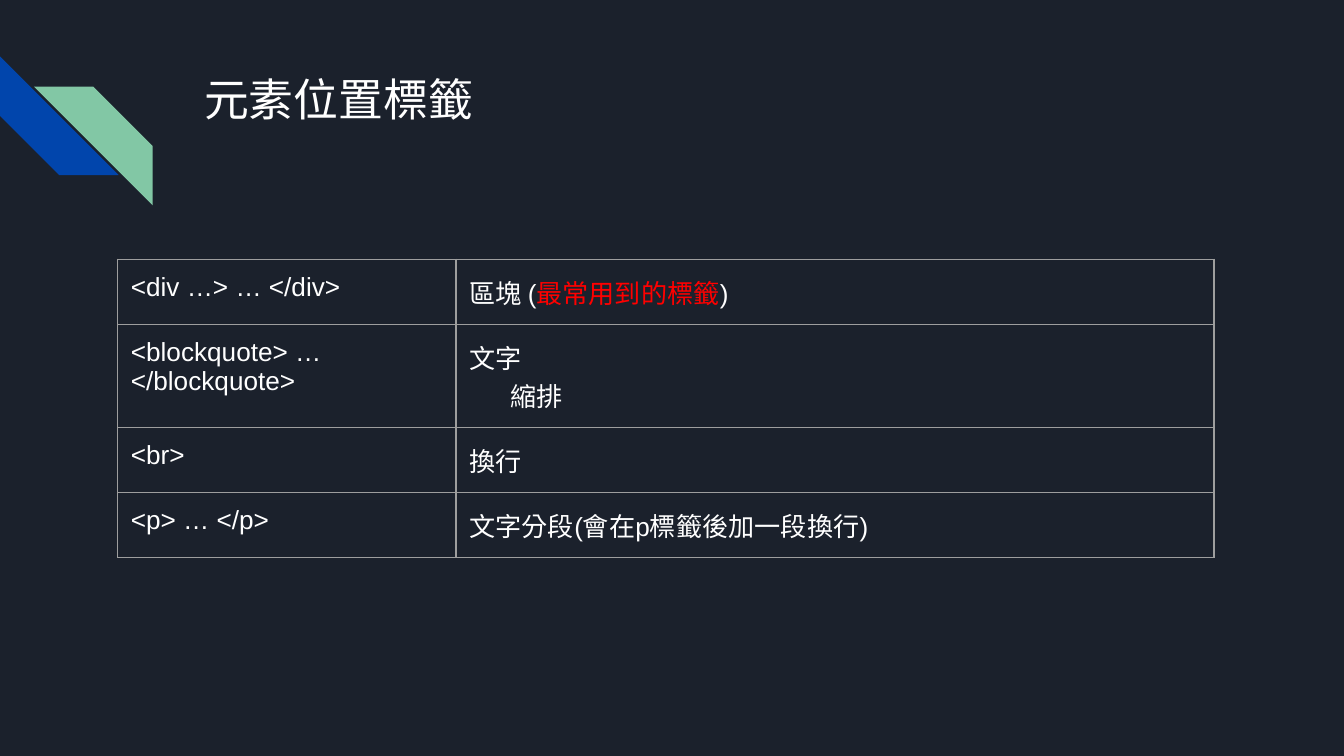
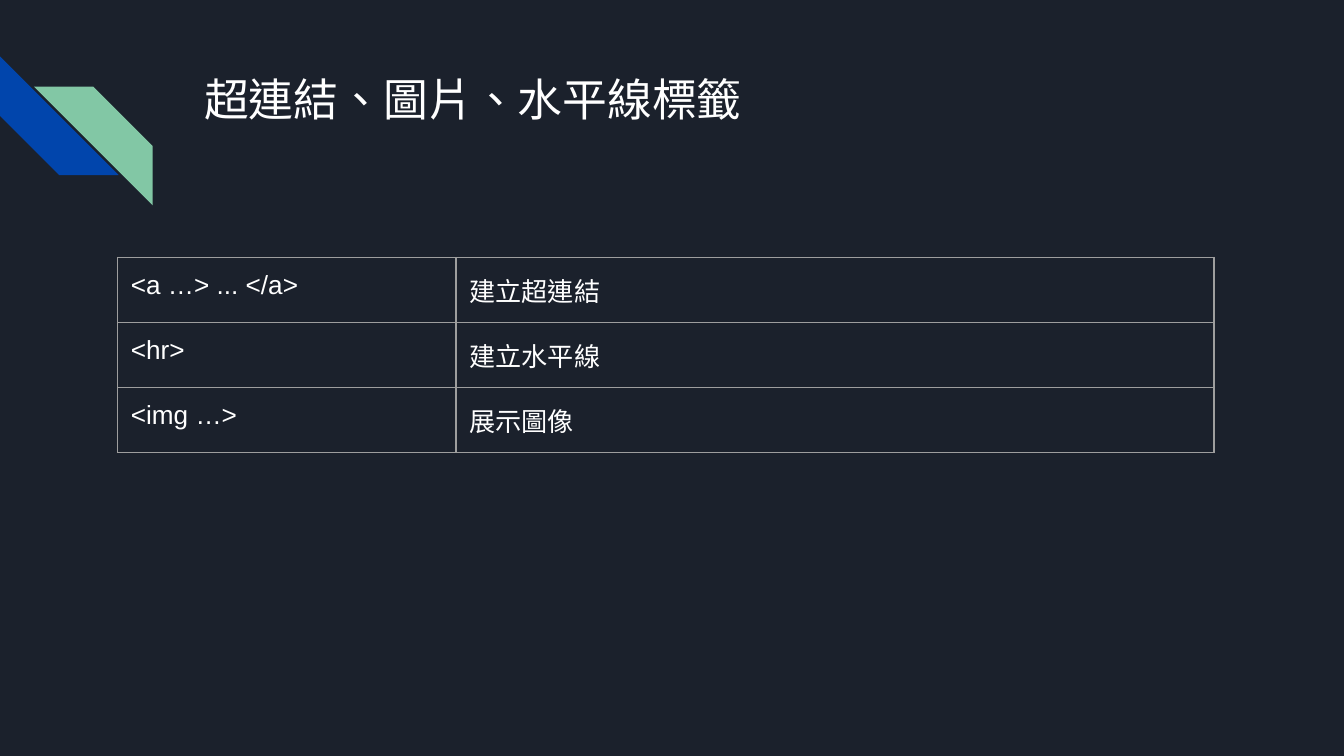
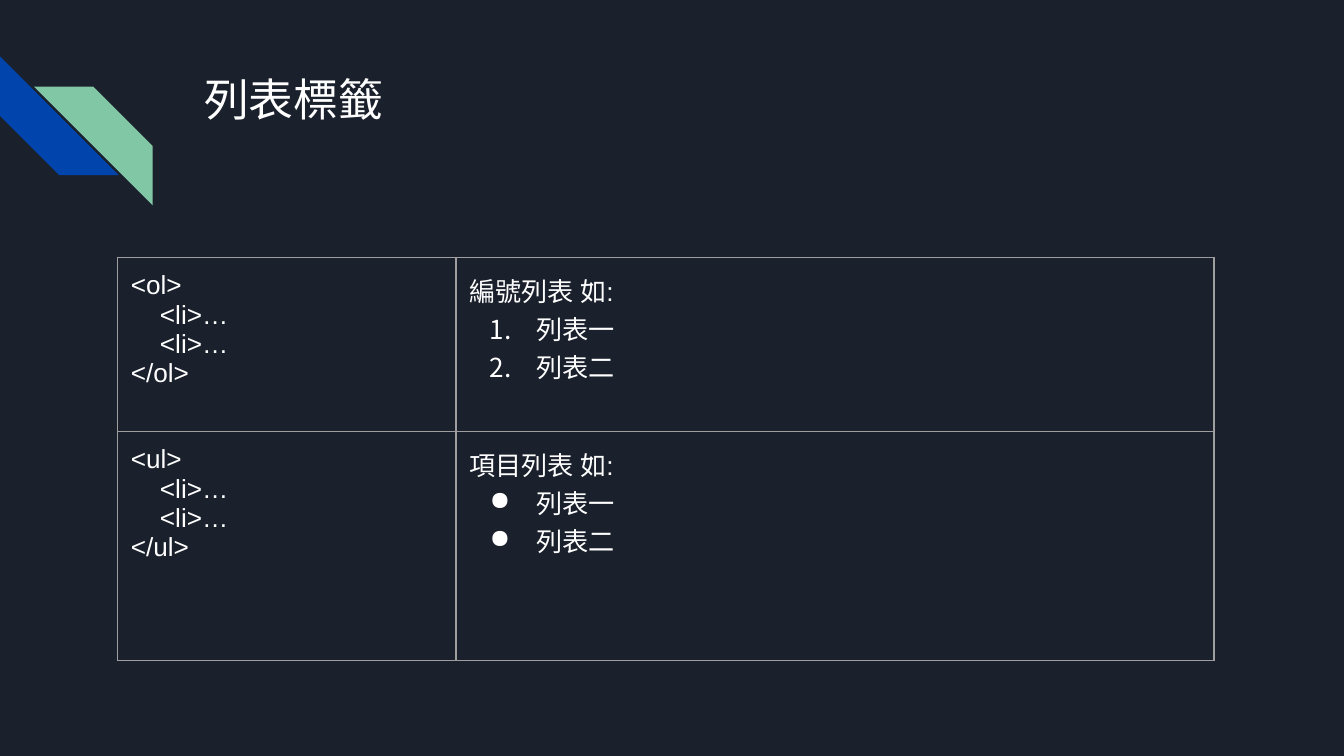
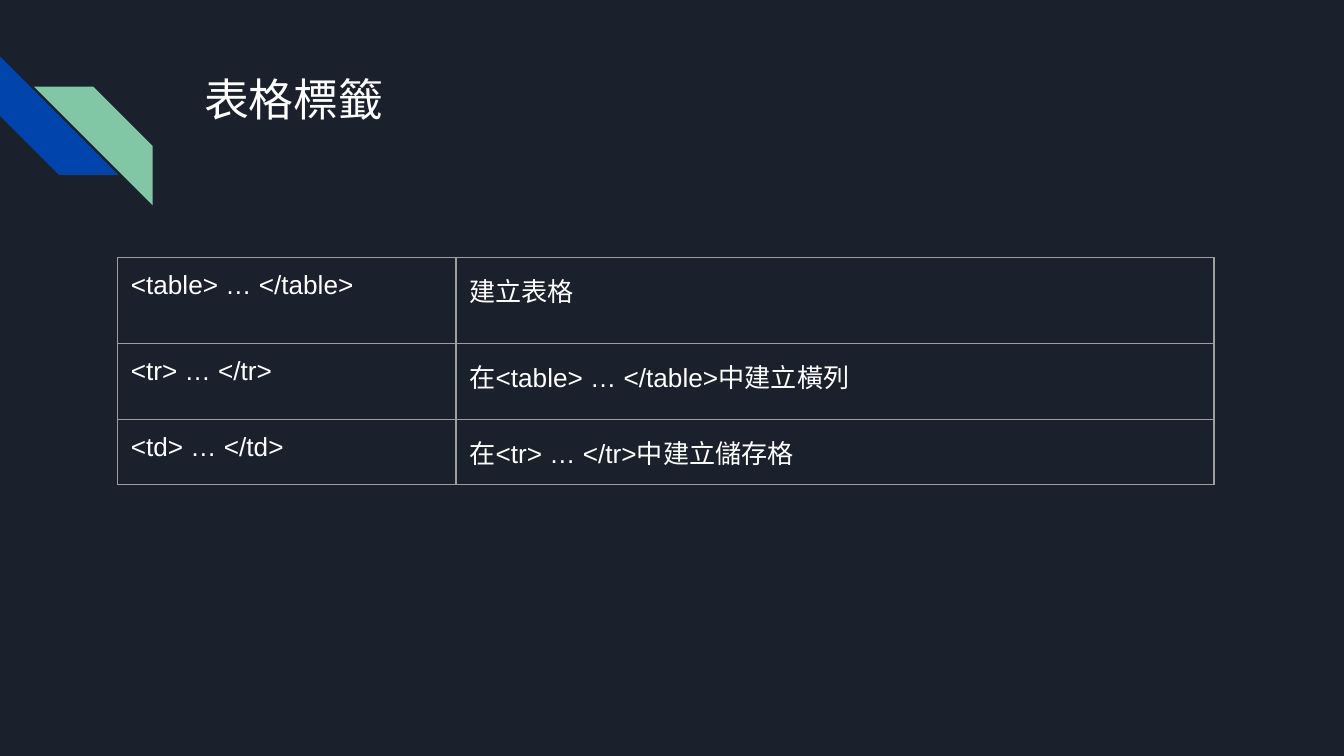
import pptx
import pptx.dml.color
import pptx.enum.lang
import pptx.enum.shapes
import pptx.enum.text
import pptx.oxml
import pptx.oxml.ns
import pptx.util

Pt = pptx.util.Pt
qn = pptx.oxml.ns.qn

COLORS = {
    "background": "1B212C",
    "blue": "0145AC",
    "green": "82C7A5",
    "text": "FFFFFF",
    "highlight": "FF0000",
    "border": "9E9E9E",
}
HIGHLIGHTED = "最常用到的標籤"
COLUMN_WIDTHS = (181.4, 406.1)
ROW_HEIGHT = 30.2

# Left margin, first-line indent and bullet element of each paragraph style
PARAGRAPH_STYLES = {
    "code": (15.6, 0, None),
    "quote": (22, 0, None),
    "number": (36, -25.2, '<a:buAutoNum {ns} type="arabicPeriod"/>'),
    "bullet": (36, -25.2, '<a:buChar {ns} char="●"/>'),
}

# Each cell holds paragraphs: plain text, or (text, paragraph style)
PAGES = [
    {
        "title": "元素位置標籤",
        "top": 138.8,
        "heights": [ROW_HEIGHT] * 4,
        "rows": [
            (["<div …> … </div>"], ["區塊 (最常用到的標籤)"]),
            (["<blockquote> … </blockquote>"], ["文字", ("縮排", "quote")]),
            (["<br>"], ["換行"]),
            (["<p> … </p>"], ["文字分段(會在p標籤後加一段換行)"]),
        ],
    },
    {
        "title": "超連結、圖片、水平線標籤",
        "top": 138,
        "heights": [ROW_HEIGHT] * 3,
        "rows": [
            (["<a …> ... </a>"], ["建立超連結"]),
            (["<hr>"], ["建立水平線"]),
            (["<img …>"], ["展示圖像"]),
        ],
    },
    {
        "title": "列表標籤",
        "top": 138,
        "heights": [93.2, 122.7],
        "rows": [
            (["<ol>", ("<li>…", "code"), ("<li>…", "code"), "</ol>"],
             ["編號列表 如:", ("列表一", "number"), ("列表二", "number")]),
            (["<ul>", ("<li>…", "code"), ("<li>…", "code"), "</ul>"],
             ["項目列表 如:", ("列表一", "bullet"), ("列表二", "bullet")]),
        ],
    },
    {
        "title": "表格標籤",
        "top": 138,
        "heights": [46.1, 40.8, ROW_HEIGHT],
        "rows": [
            (["<table> … </table>"], ["建立表格"]),
            (["<tr> … </tr>"], ["在<table> … </table>中建立橫列"]),
            (["<td> … </td>"], ["在<tr> … </tr>中建立儲存格"]),
        ],
    },
]


def format_run(run, font_name, size, color):
    run.font.name = font_name
    run.font.size = Pt(size)
    run.font.language_id = pptx.enum.lang.MSO_LANGUAGE_ID.TRADITIONAL_CHINESE
    run.font.color.rgb = pptx.dml.color.RGBColor.from_string(COLORS[color])


def write_paragraph(paragraph, content):
    text, style = content if isinstance(content, tuple) else (content, None)
    for part in text.partition(HIGHLIGHTED):
        if part:
            run = paragraph.add_run()
            run.text = part
            format_run(run, "Arial", 14, "highlight" if part == HIGHLIGHTED else "text")
    if style:
        margin, indent, bullet = PARAGRAPH_STYLES[style]
        properties = paragraph._p.get_or_add_pPr()
        properties.set("marL", str(Pt(margin)))
        properties.set("indent", str(Pt(indent)))
        if bullet:
            properties.append(pptx.oxml.parse_xml(
                f'<a:buClr {NS}><a:srgbClr val="{COLORS["text"]}"/></a:buClr>'))
            properties.append(pptx.oxml.parse_xml(bullet.format(ns=NS)))


NS = pptx.oxml.ns.nsdecls("a")
presentation = pptx.Presentation()
presentation.slide_width = Pt(720)
presentation.slide_height = Pt(405)
layout = presentation.slide_layouts[5]
layout.background.fill.solid()
layout.background.fill.fore_color.rgb = pptx.dml.color.RGBColor.from_string(
    COLORS["background"])

for page_number, page in enumerate(PAGES):
    slide = presentation.slides.add_slide(layout)

    # The corner stripes are drawn once and moved to the shared layout
    if page_number == 0:
        for left, top, color, turn in ((0, 30.2, "blue", 270), (18.2, 46.4, "green", 0)):
            stripe = slide.shapes.add_shape(
                pptx.enum.shapes.MSO_SHAPE.DIAGONAL_STRIPE,
                Pt(left), Pt(top), Pt(63.6), Pt(63.6))
            stripe.adjustments[0] = 0.5
            stripe.rotation = turn
            stripe.shadow.inherit = False
            stripe.fill.solid()
            stripe.fill.fore_color.rgb = pptx.dml.color.RGBColor.from_string(COLORS[color])
            stripe.line.fill.background()
            if color == "green":
                stripe.element.spPr.find(qn("a:xfrm")).set("flipH", "1")
            layout.shapes.element.append(stripe.element)

    title = slide.shapes.title
    title.left, title.top, title.width, title.height = Pt(102.2), Pt(31), Pt(554.4), Pt(72)
    frame = title.text_frame
    frame.text = page["title"]
    frame.word_wrap = True
    frame.auto_size = pptx.enum.text.MSO_AUTO_SIZE.NONE
    frame.vertical_anchor = pptx.enum.text.MSO_ANCHOR.TOP
    frame.margin_left = frame.margin_right = frame.margin_top = frame.margin_bottom = Pt(7.2)
    frame.paragraphs[0].alignment = pptx.enum.text.PP_ALIGN.LEFT
    title_run = frame.paragraphs[0].runs[0]
    format_run(title_run, "Montserrat", 24, "text")
    title_run.font._element.find(qn("a:latin")).addnext(
        pptx.oxml.parse_xml(f'<a:ea {NS} typeface="Montserrat"/>'))

    tag_frame = slide.shapes.add_table(
        len(page["rows"]), len(COLUMN_WIDTHS), Pt(62.9), Pt(page["top"]),
        Pt(sum(COLUMN_WIDTHS)), Pt(sum(page["heights"])))
    tags = tag_frame.table
    tags.first_row = tags.horz_banding = False
    for column, width in zip(tags.columns, COLUMN_WIDTHS):
        column.width = Pt(width)
    for row, height, contents in zip(tags.rows, page["heights"], page["rows"]):
        row.height = Pt(height)
        for cell, paragraphs in zip(row.cells, contents):
            cell.fill.background()
            cell.margin_left = cell.margin_right = Pt(7.2)
            cell.margin_top = cell.margin_bottom = Pt(7.2)
            for index, content in enumerate(paragraphs):
                text_frame = cell.text_frame
                paragraph = text_frame.add_paragraph() if index else text_frame.paragraphs[0]
                write_paragraph(paragraph, content)
    for properties in tag_frame.element.iter(qn("a:tcPr")):
        for position, side in enumerate("LRTB"):
            properties.insert(position, pptx.oxml.parse_xml(
                f'<a:ln{side} {NS} w="{Pt(0.75)}"><a:solidFill>'
                f'<a:srgbClr val="{COLORS["border"]}"/></a:solidFill></a:ln{side}>'))

presentation.save("out.pptx")
